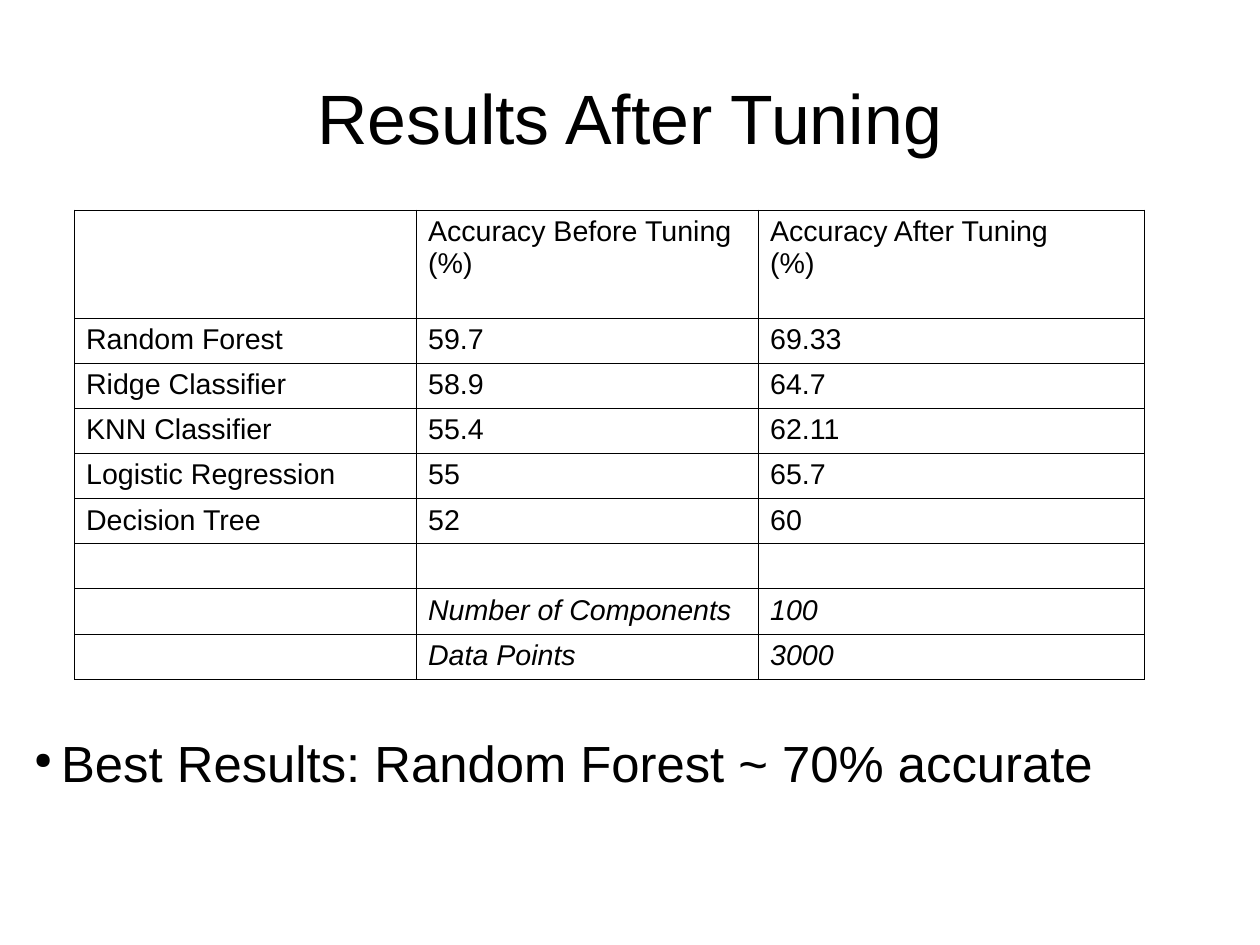
from dataclasses import dataclass

from lxml.etree import SubElement
from pptx import Presentation
from pptx.dml.color import RGBColor
from pptx.enum.text import MSO_ANCHOR as Anchor, PP_ALIGN as Align
from pptx.oxml.ns import qn
from pptx.util import Cm, Pt

# Content
TITLE = "Results After Tuning"
HEADER = ("", "Accuracy Before Tuning (%)", "Accuracy After Tuning\n(%)")
SCORES = [
    ("Random Forest", "59.7", "69.33"),
    ("Ridge Classifier", "58.9", "64.7"),
    ("KNN Classifier", "55.4", "62.11"),
    ("Logistic Regression", "55", "65.7"),
    ("Decision Tree", "52", "60"),
]
SETTINGS = [
    ("", "Number of Components", "100"),
    ("", "Data Points", "3000"),
]
CONCLUSION = "Best Results: Random Forest ~ 70% accurate"


@dataclass(frozen=True)
class Theme:
    font: str = "Arial"
    ink: str = "000000"
    title: int = 44
    body: int = 32
    cell: int = 18
    border: float = 0.75


THEME = Theme()

# Layout
COLUMN_WIDTHS = (Cm(7.6), Cm(7.6), Cm(8.58))
HEADER_HEIGHT, ROW_HEIGHT = Cm(2.4), Cm(0.97)
CELL_PADDING = Cm(0.12)
BULLET_INDENT = Cm(0.6)


def style(paragraph, size, italic=False):
    font = paragraph.font
    font.name, font.size, font.italic = THEME.font, Pt(size), italic
    font.color.rgb = RGBColor.from_string(THEME.ink)


def add_text(slide, text, box, size, anchor=Anchor.TOP):
    frame = slide.shapes.add_textbox(*box).text_frame
    frame.word_wrap = True
    frame.vertical_anchor = anchor
    frame.margin_left = frame.margin_right = 0
    frame.margin_top = frame.margin_bottom = 0
    paragraph = frame.paragraphs[0]
    paragraph.text = text
    style(paragraph, size)
    return paragraph


def add_bullet(paragraph):
    props = paragraph._p.get_or_add_pPr()
    props.set("marL", str(BULLET_INDENT))
    props.set("indent", str(-BULLET_INDENT))
    size = props.makeelement(qn("a:buSzPct"), {"val": "45000"})
    mark = props.makeelement(qn("a:buChar"), {"char": "●"})
    props.insert(0, size)
    props.insert(1, mark)


def add_borders(cell):
    props = cell._tc.get_or_add_tcPr()
    for side in ("lnL", "lnR", "lnT", "lnB"):
        line = SubElement(props, qn(f"a:{side}"), w=str(Pt(THEME.border)))
        SubElement(SubElement(line, qn("a:solidFill")), qn("a:srgbClr"), val=THEME.ink)


def add_results(slide, left, top):
    blank_row = ("",) * len(HEADER)
    rows = [HEADER, *SCORES, blank_row, *SETTINGS]
    heights = [HEADER_HEIGHT] + [ROW_HEIGHT] * (len(rows) - 1)
    results = slide.shapes.add_table(
        len(rows), len(HEADER), left, top, sum(COLUMN_WIDTHS), sum(heights)
    ).table
    results.first_row = results.horz_banding = False
    for column, width in zip(results.columns, COLUMN_WIDTHS):
        column.width = width
    for row, height, values in zip(results.rows, heights, rows):
        row.height = height
        for cell, value in zip(row.cells, values):
            cell.text = value
            cell.margin_top = cell.margin_bottom = CELL_PADDING
            add_borders(cell)
            cell.fill.background()
            for paragraph in cell.text_frame.paragraphs:
                style(paragraph, THEME.cell, italic=values in SETTINGS)


def main():
    deck = Presentation()
    deck.slide_width, deck.slide_height = Cm(28), Cm(21)
    slide = deck.slides.add_slide(deck.slide_layouts[6])

    # Title
    title_box = (Cm(1.4), Cm(0.84), Cm(25.2), Cm(3.5))
    title = add_text(slide, TITLE, title_box, THEME.title, Anchor.MIDDLE)
    title.alignment = Align.CENTER

    # Accuracy table
    add_results(slide, Cm(1.66), Cm(4.67))

    # Conclusion
    conclusion_box = (Cm(0.76), Cm(16.26), Cm(25.4), Cm(2.54))
    add_bullet(add_text(slide, CONCLUSION, conclusion_box, THEME.body))

    deck.save("out.pptx")


if __name__ == "__main__":
    main()
